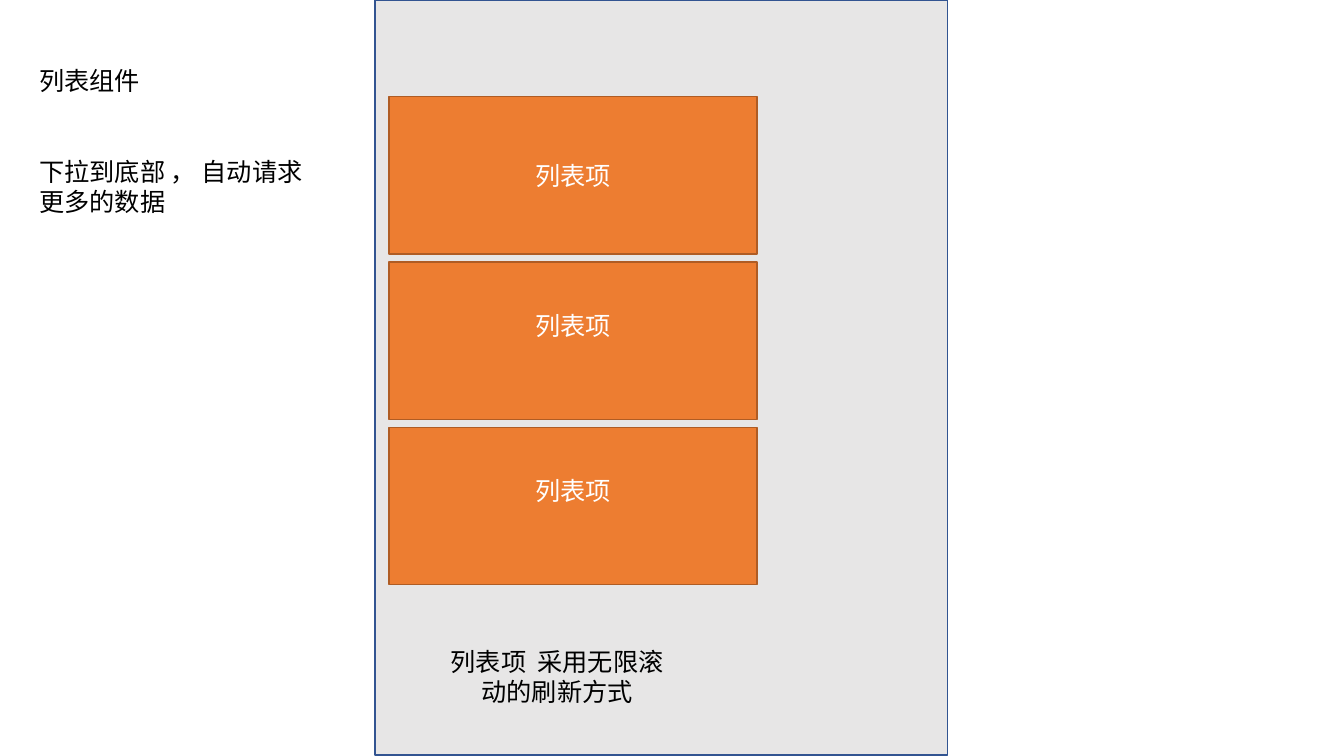
"""Build a slide that explains an infinitely scrolling list component."""
from lxml.etree import SubElement
from pptx import Presentation
from pptx.dml.color import RGBColor
from pptx.enum.shapes import MSO_SHAPE as SHAPE
from pptx.enum.text import MSO_ANCHOR as ANCHOR, PP_ALIGN as ALIGN
from pptx.oxml.ns import qn
from pptx.util import Inches, Pt

FONT = "Noto Sans CJK SC"


def rgb(value):
    """Turn a hex string into a colour."""
    return RGBColor.from_string(value)


def add_text(p, text, color, align):
    """Fill a paragraph with one styled run."""
    p.alignment = align
    r = p.add_run()
    r.text = text
    r.font.size = Pt(18)
    r.font.name = FONT
    r.font.color.rgb = rgb(color)
    SubElement(r.font._element, qn("a:ea")).set("typeface", FONT)


def add_box(s, left, top, width, height, fill, line):
    """Add an outlined rectangle and return it."""
    sp = s.shapes.add_shape(SHAPE.RECTANGLE, Inches(left), Inches(top),
                            Inches(width), Inches(height))
    sp.shadow.inherit = False
    sp.fill.solid()
    sp.fill.fore_color.rgb = rgb(fill)
    sp.line.color.rgb = rgb(line)
    sp.line.width = Pt(1)
    return sp


def add_item(s, top, lift):
    """Add a list item whose label sits above the middle by half the lift."""
    sp = add_box(s, 3.86, top, 3.65, 1.56, "ED7D31", "AF5C24")
    tf = sp.text_frame
    tf.vertical_anchor = ANCHOR.MIDDLE
    tf.margin_bottom = Inches(0.05 + lift)
    add_text(tf.paragraphs[0], "列表项", "FFFFFF", ALIGN.CENTER)


def add_note(s, left, top, width, height, texts, align):
    """Add a wrapped text box with widely spaced paragraphs."""
    sp = s.shapes.add_textbox(Inches(left), Inches(top),
                              Inches(width), Inches(height))
    tf = sp.text_frame
    tf.word_wrap = True
    for i, text in enumerate(texts):
        p = tf.add_paragraph() if i else tf.paragraphs[0]
        if i:
            p.space_before = Pt(43)
        add_text(p, text, "000000", align)


def main():
    """Build and save the slide."""
    prs = Presentation()
    prs.slide_width, prs.slide_height = Inches(13.33), Inches(7.5)
    s = prs.slides.add_slide(prs.slide_layouts[6])
    add_box(s, 3.72, 0, 5.68, 7.49, "E7E6E6", "325491")
    for i, lift in enumerate((0, 0.3, 0.3)):
        add_item(s, 0.96 + 1.64 * i, lift)
    add_note(s, 4.25, 6.36, 2.55, 0.71,
             ["列表项  采用无限滚动的刷新方式"], ALIGN.CENTER)
    add_note(s, 0.29, 0.6, 2.92, 1.62,
             ["列表组件", "下拉到底部 ， 自动请求更多的数据"], ALIGN.LEFT)
    prs.save("out.pptx")


if __name__ == "__main__":
    main()
